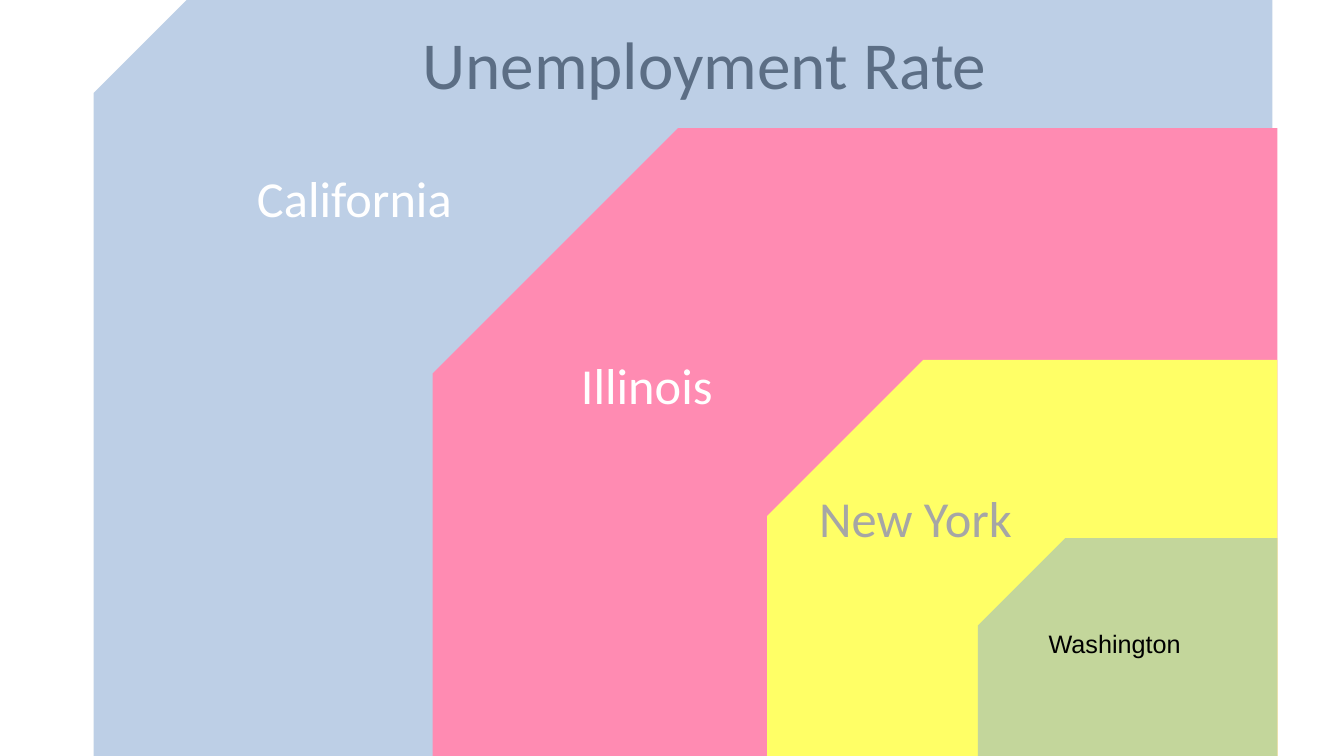
from lxml.etree import SubElement
from pptx import Presentation
from pptx.dml.color import RGBColor
from pptx.enum.shapes import MSO_SHAPE
from pptx.enum.text import MSO_ANCHOR, PP_ALIGN
from pptx.oxml.ns import qn
from pptx.util import Inches, Pt

COLORS = {
    "blue": "95B3D7",
    "pink": "FF8BB2",
    "yellow": "FFFF66",
    "green": "C3D69B",
    "white": "FFFFFF",
    "gray": "A6A6A6",
    "black": "000000",
}


def write_text(text_frame, text, font="Calibri", size=36, color="white", align=PP_ALIGN.CENTER):
    text_frame.word_wrap = True
    text_frame.vertical_anchor = MSO_ANCHOR.TOP
    paragraph = text_frame.paragraphs[0]
    paragraph.alignment = align
    run = paragraph.add_run()
    run.text = text
    run.font.name = font
    run.font.size = Pt(size)
    run.font.color.rgb = RGBColor.from_string(COLORS[color])


class SlideBuilder:
    def __init__(self, slide):
        self.slide = slide

    def label(self, text, left, top, width, height, **text_format):
        box = self.slide.shapes.add_textbox(*map(Inches, (left, top, width, height)))
        write_text(box.text_frame, text, **text_format)

    def panel(self, left, top, width, height, color, snip=0.386, opacity=None):
        shape = self.slide.shapes.add_shape(
            MSO_SHAPE.SNIP_1_RECTANGLE, *map(Inches, (left, top, width, height))
        )
        shape.adjustments[0] = snip
        shape.shadow.inherit = False
        shape.line.fill.background()
        shape.fill.solid()
        shape.fill.fore_color.rgb = RGBColor.from_string(COLORS[color])
        properties = shape._element.spPr
        properties.find(qn("a:xfrm")).set("flipH", "1")
        if opacity is not None:
            fill_color = properties.find(qn("a:solidFill")).find(qn("a:srgbClr"))
            SubElement(fill_color, qn("a:alpha")).set("val", str(opacity * 1000))


def main():
    presentation = Presentation()
    presentation.slide_width = Inches(13.33)
    presentation.slide_height = Inches(7.5)
    builder = SlideBuilder(presentation.slides.add_slide(presentation.slide_layouts[6]))

    builder.label("Unemployment Rate", 4.09, 0.17, 5.89, 1.7,
                  size=48, color="black", align=PP_ALIGN.LEFT)

    builder.panel(0.93, -0.03, 11.69, 7.55, "blue", snip=0.126, opacity=62)
    right, bottom = 12.67, 7.58
    for left, top, color in [(4.29, 1.27, "pink"), (7.61, 3.57, "yellow"), (9.7, 5.34, "green")]:
        builder.panel(left, top, right - left, bottom - top, color)

    builder.label("California", 2.34, 1.61, 2.35, 1.3)
    builder.label("Illinois", 5.54, 3.46, 1.75, 1.3)
    builder.label("Washington", 10.18, 6.18, 1.75, 0.4, font="Arial", size=18, color="black")
    builder.label("New York", 7.84, 4.78, 2.48, 1.3, color="gray")

    presentation.save("out.pptx")


if __name__ == "__main__":
    main()
